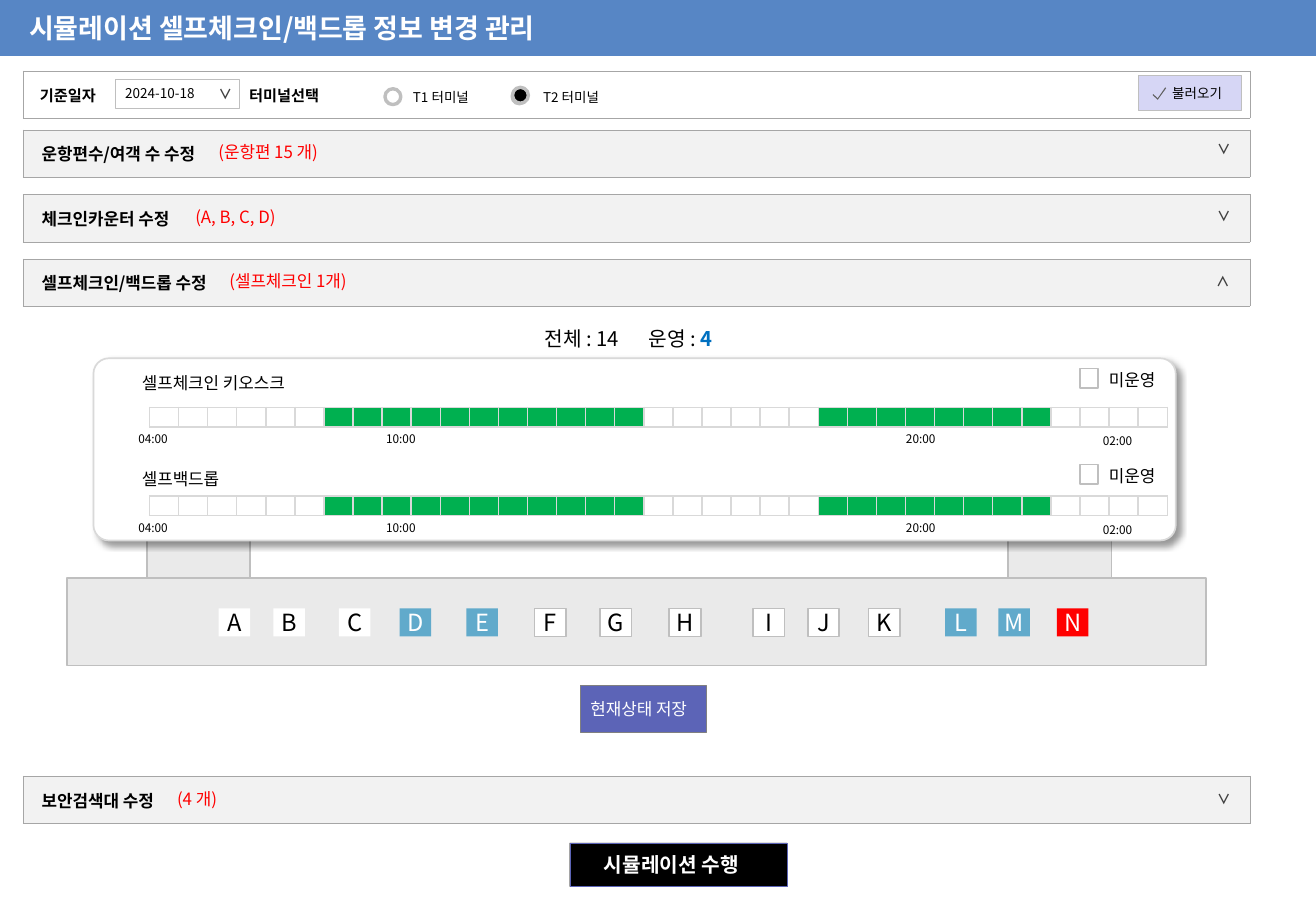
from dataclasses import dataclass
from lxml.etree import SubElement
from pptx import Presentation
from pptx.dml.color import RGBColor
from pptx.enum.shapes import MSO_SHAPE
from pptx.enum.text import MSO_ANCHOR, MSO_AUTO_SIZE, PP_ALIGN
from pptx.oxml.ns import qn
from pptx.util import Pt


@dataclass(frozen=True)
class Theme:
    font: str = "Noto Sans CJK KR"
    white: str = "FFFFFF"
    black: str = "000000"
    blue: str = "5786C5"
    pale: str = "F2F2F2"
    desk: str = "EAEAEA"
    edge: str = "A6A6A6"
    rim: str = "BFBFBF"
    grid: str = "D9D9D9"
    dark: str = "404040"
    tick: str = "5F5F5F"
    gray: str = "808080"
    lilac: str = "D6D6F5"
    violet: str = "5C64B7"
    green: str = "00B050"
    sky: str = "61AACB"
    red: str = "FF0000"
    count: str = "0070C0"
    title: int = 16
    key: int = 14
    head: int = 12
    body: int = 10
    label: int = 9
    small: int = 8
    tiny: int = 7


THEME = Theme()


def write(frame, text, size=THEME.body, color=THEME.black, bold=False,
          align=PP_ALIGN.LEFT, tab=None):
    """Add one formatted run to the first paragraph."""
    para = frame.paragraphs[0]
    para.alignment = align
    if tab:
        stops = SubElement(para._p.get_or_add_pPr(), qn("a:tabLst"))
        SubElement(stops, qn("a:tab"), pos=str(Pt(tab)), algn="l")
    run = para.add_run()
    run.text = text
    font = run.font
    font.size, font.bold, font.name = Pt(size), bold, THEME.font
    font.color.rgb = RGBColor.from_string(color)
    SubElement(run._r.get_or_add_rPr(), qn("a:ea"), typeface=THEME.font)


class Sheet:
    def __init__(self, slide, theme):
        self.slide, self.theme = slide, theme

    def paint(self, shape, fill=None, line=None, width=1):
        if fill:
            shape.fill.solid()
            shape.fill.fore_color.rgb = RGBColor.from_string(fill)
        else:
            shape.fill.background()
        if line:
            shape.line.color.rgb = RGBColor.from_string(line)
            shape.line.width = Pt(width)
        else:
            shape.line.fill.background()
        shape.shadow.inherit = False

    def title(self, text, width, height):
        shape = self.slide.shapes.title
        shape.left, shape.top, shape.width, shape.height = 0, 0, Pt(width), Pt(height)
        self.paint(shape, self.theme.blue)
        frame = shape.text_frame
        frame.auto_size = MSO_AUTO_SIZE.NONE
        frame.vertical_anchor = MSO_ANCHOR.MIDDLE
        frame.margin_left = Pt(17.3)
        write(frame, text, size=self.theme.title, color=self.theme.white, bold=True)

    def shape(self, left, top, width, height, text="", kind=MSO_SHAPE.RECTANGLE,
              fill=None, line=None, weight=1, inset=5.76, **style):
        shape = self.slide.shapes.add_shape(kind, Pt(left), Pt(top), Pt(width), Pt(height))
        self.paint(shape, fill, line, weight)
        if text:
            frame = shape.text_frame
            frame.word_wrap = False
            frame.vertical_anchor = MSO_ANCHOR.MIDDLE
            frame.margin_left, frame.margin_right = Pt(inset), Pt(5.76)
            frame.margin_top = frame.margin_bottom = Pt(2.88)
            write(frame, text, **style)
        return shape

    def text(self, left, top, width, height, text, **style):
        box = self.slide.shapes.add_textbox(Pt(left), Pt(top), Pt(width), Pt(height))
        box.text_frame.word_wrap = True
        write(box.text_frame, text, **style)
        return box.text_frame

    def arrow(self, left, top, turn=0):
        mark = self.shape(left, top, 20.2, 20.2, "∨", size=self.theme.small,
                          color=self.theme.dark, bold=True, align=PP_ALIGN.RIGHT)
        mark.rotation = turn

    def table(self, left, top, step, height, fills, line, width, inset=0):
        """One-row table with one column for each fill."""
        count = len(fills)
        table = self.slide.shapes.add_table(
            1, count, Pt(left), Pt(top), Pt(step * count), Pt(height)).table
        table.first_row = table.horz_banding = False
        table.rows[0].height = Pt(height)
        for col, cell, fill in zip(table.columns, table.rows[0].cells, fills):
            col.width = Pt(step)
            cell.margin_left = cell.margin_right = Pt(inset)
            cell.margin_top = cell.margin_bottom = 0
            cell.vertical_anchor = MSO_ANCHOR.MIDDLE
            props = cell._tc.get_or_add_tcPr()
            for side in ("lnL", "lnR", "lnT", "lnB"):
                edge = SubElement(props, qn("a:" + side), w=str(Pt(width)))
                SubElement(SubElement(edge, qn("a:solidFill")), qn("a:srgbClr"), val=line)
            if fill:
                cell.fill.solid()
                cell.fill.fore_color.rgb = RGBColor.from_string(fill)
            else:
                cell.fill.background()
        return table

    def bar(self, top, text, fill=None, inset=11, **style):
        table = self.table(13.7, top, 727.2, 28.1, [fill], self.theme.edge, 0.25, inset)
        write(table.cell(0, 0).text_frame, text, bold=True, **style)

    def slots(self, top, fills):
        table = self.table(88.6, top, 17.24, 11.5, fills, self.theme.grid, 1)
        for cell in table.rows[0].cells:
            SubElement(cell.text_frame.paragraphs[0]._p, qn("a:endParaRPr"), sz="600")

    def card(self, left, top, width, height):
        card = self.shape(left, top, width, height, kind=MSO_SHAPE.ROUNDED_RECTANGLE,
                          fill=self.theme.white, line=self.theme.grid)
        card.adjustments[0] = 0.084
        shade = SubElement(card.element.spPr.find(qn("a:effectLst")), qn("a:outerShdw"),
                           blurRad=str(Pt(4)), dist=str(Pt(3)), dir="2700000",
                           algn="tl", rotWithShape="0")
        tone = SubElement(shade, qn("a:srgbClr"), val=self.theme.black)
        SubElement(tone, qn("a:alpha"), val="40000")

    def tick(self, points):
        spots = [(Pt(x), Pt(y)) for x, y in points]
        pen = self.slide.shapes.build_freeform(*spots[0])
        pen.add_line_segments(spots[1:], close=True)
        self.paint(pen.convert_to_shape(), self.theme.tick)


def main():
    deck = Presentation()
    deck.slide_width, deck.slide_height = Pt(780), Pt(540)
    t = THEME
    sheet = Sheet(deck.slides.add_slide(deck.slide_layouts[5]), t)
    sheet.title("시뮬레이션 셀프체크인/백드롭 정보 변경 관리", 780, 33.1)

    # Search row
    sheet.bar(42, "기준일자\t터미널선택", inset=10, size=t.label, tab=124)
    sheet.shape(68.4, 46.8, 73.4, 17.3, "2024-10-18", fill=t.white, line=t.rim,
                weight=0.25, size=t.small)
    sheet.arrow(123.1, 45.4)
    for left, name in ((239, "T1 터미널"), (316.1, "T2 터미널")):
        sheet.shape(left, 49, 73.4, 17.3, name, fill=t.white, size=t.small)
    for left, top, fill, weight in ((228.2, 52.6, t.white, 2), (303.1, 52.6, t.desk, 1),
                                    (303.8, 51.8, t.black, 2)):
        sheet.shape(left, top, 9.4, 9.4, kind=MSO_SHAPE.OVAL, fill=fill,
                    line=t.rim, weight=weight)
    sheet.shape(674.6, 44.6, 61.2, 20.9, "불러오기", fill=t.lilac, line=t.rim,
                weight=0.25, inset=20.2, size=t.small)
    sheet.tick([(690.7, 51.8), (686.2, 58.3), (683.6, 55.8), (683.2, 56.3),
                (686.2, 59.2), (691.2, 52.3)])

    # Folding sections
    for top, name, left, note, drop, turn in (
            (77, "운항편수/여객 수 수정", 122.4, "(운항편 15 개)", 1.5, 0),
            (115.2, "체크인카운터 수정", 108.7, "(A, B, C, D)", 2.9, 0),
            (153.4, "셀프체크인/백드롭 수정", 128.9, "(셀프체크인 1개)", 3.6, 180),
            (460.1, "보안검색대 수정", 97.9, "(4 개)", 3.6, 0)):
        sheet.bar(top, name, t.pale)
        sheet.text(left, top + 3.7, 105.1, 19.4, note, color=t.red)
        sheet.arrow(715, top + drop, turn)

    # Counter desk
    sheet.shape(39.6, 342.7, 675.4, 51.8, fill=t.desk, line=t.rim)
    plain, framed = (t.white, None, t.black), (t.white, t.rim, t.black)
    busy, alert = (t.sky, None, t.white), (t.red, None, t.white)
    for look, keys in (
            (plain, {"A": 129.6, "B": 162, "C": 200.9}),
            (busy, {"D": 236.9, "E": 276.5, "L": 560.2, "M": 591.8}),
            (framed, {"F": 316.8, "G": 355.7, "H": 396.7, "I": 446.4, "J": 478.8, "K": 514.8}),
            (alert, {"N": 626.4})):
        fill, line, color = look
        for key, left in keys.items():
            sheet.shape(left, 360.7, 18.7, 16.6, key, fill=fill, line=line,
                        size=t.key, color=color, align=PP_ALIGN.CENTER)
    for left in (87.1, 597.6):
        sheet.shape(left, 304.6, 61.2, 38.2, fill=t.desk, line=t.rim)

    # Machine hours
    total = sheet.text(315.8, 190.1, 140, 21.6, "전체 : 14\t운영 : ", size=t.head, tab=61.6)
    write(total, "4", size=t.head, color=t.count, bold=True)
    sheet.card(55.4, 212.4, 641.5, 108)
    hours = [None] * 6 + [t.green] * 11 + [None] * 6 + [t.green] * 8 + [None] * 4
    for name, top, row in (("셀프체크인 키오스크", 217.4, 241.5), ("셀프백드롭", 274.3, 294)):
        sheet.text(77, top, 123.1, 19.4, name)
        sheet.slots(row, hours)
        for left, drop, hour in ((74.9, 11.1, "04:00"), (221.8, 11.1, "10:00"),
                                 (529.9, 11.1, "20:00"), (646.6, 12.2, "02:00")):
            sheet.text(left, row + drop, 37.4, 15.8, hour, size=t.tiny)
        sheet.shape(640.1, top + 1.1, 10.8, 11.5, line=t.rim)
        sheet.text(650.2, top - 1.7, 49.7, 19.4, "미운영")

    # Buttons
    sheet.shape(344.2, 406.1, 74.2, 28.1, "현재상태 저장", fill=t.violet, line=t.gray,
                weight=0.25, color=t.white)
    sheet.shape(337.7, 499.7, 128.9, 25.9, "시뮬레이션 수행", fill=t.black, line=t.violet,
                weight=0.25, inset=20.2, size=t.head, color=t.white, bold=True)
    deck.save("out.pptx")


if __name__ == "__main__":
    main()
